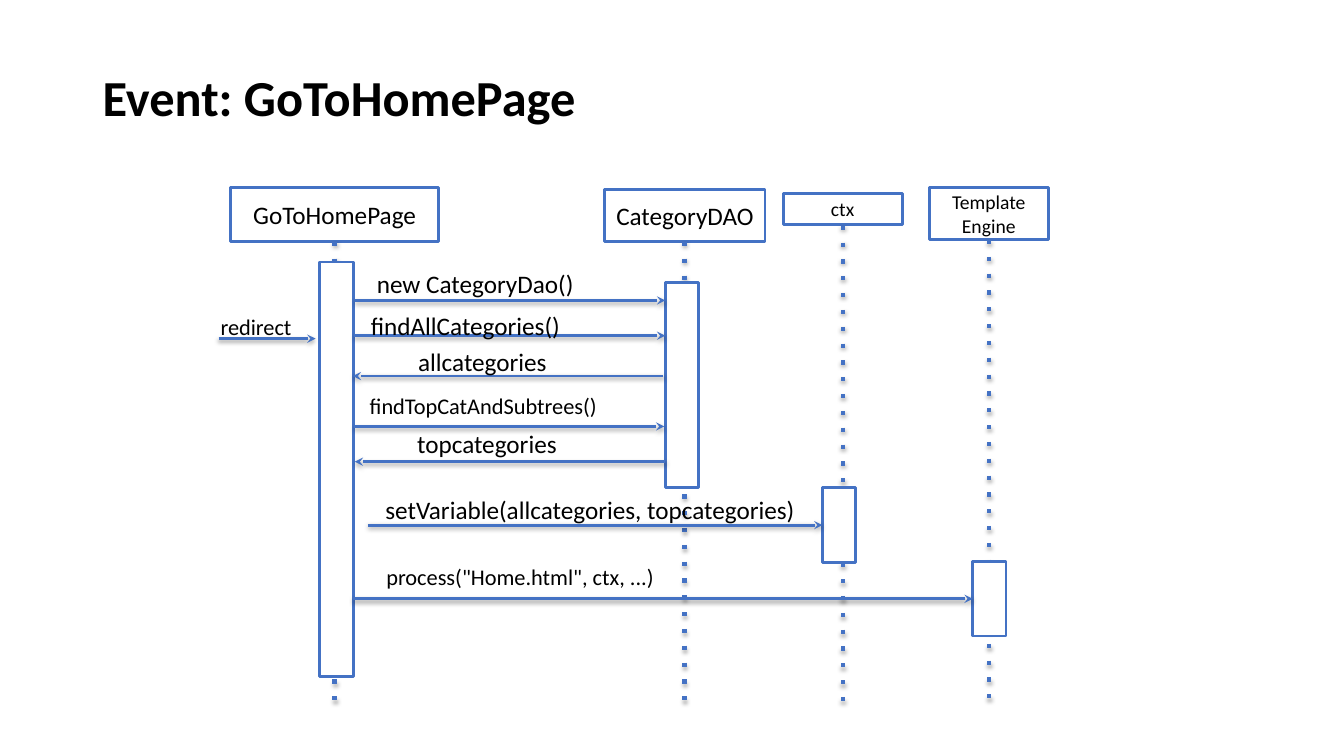
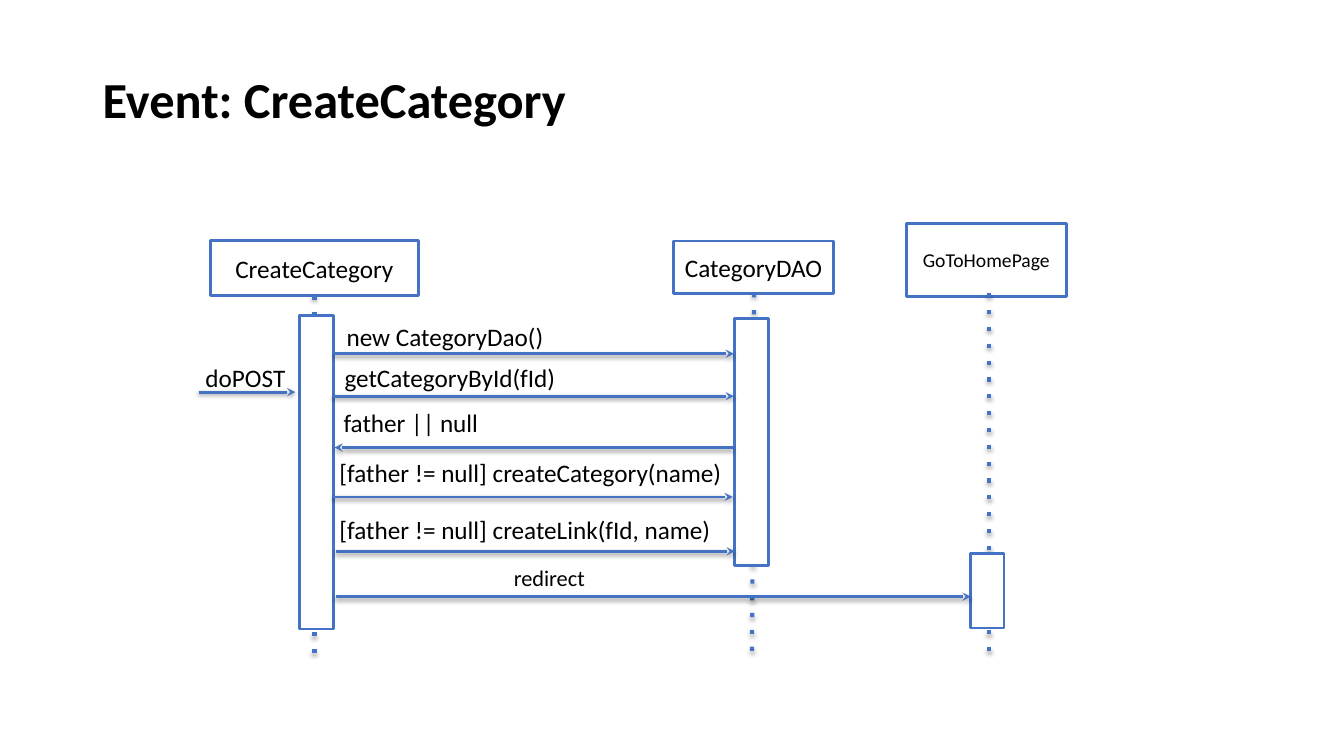
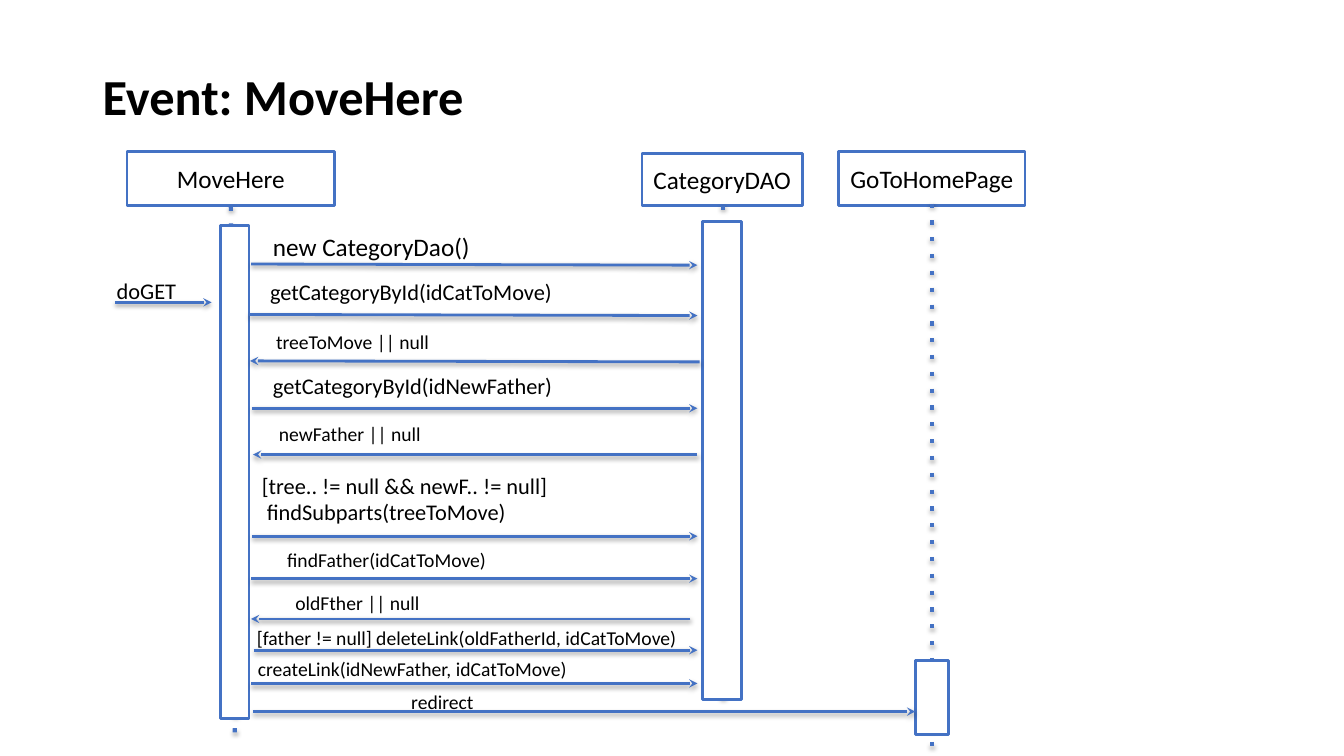
import dataclasses
import lxml.etree
import pptx
import pptx.dml.color
import pptx.enum.shapes
import pptx.enum.text
import pptx.oxml.ns
import pptx.util

Pt = pptx.util.Pt
RGB = pptx.dml.color.RGBColor
ALIGN = pptx.enum.text.PP_ALIGN
ANCHOR = pptx.enum.text.MSO_ANCHOR
qn = pptx.oxml.ns.qn


@dataclasses.dataclass(frozen=True)
class Theme:
    ink: RGB = RGB(0, 0, 0)
    paper: RGB = RGB(255, 255, 255)
    blue: RGB = RGB(0x44, 0x72, 0xC4)
    font: str = "Calibri"
    title: int = 36
    big: int = 18
    mid: int = 16
    small: int = 14
    rule: int = 2
    dots: int = 3


T = Theme()
LEFT, MID = ALIGN.LEFT, ALIGN.CENTER


def put(obj, vals):
    for key, val in vals.items():
        setattr(obj, key, val)


def place(shape, box):
    put(shape, dict(zip(("left", "top", "width", "height"), map(Pt, box))))


def write(shape, text, size, align, anchor, bold=False, space=None):
    frame = shape.text_frame
    put(frame, {"text": text, "word_wrap": True, "vertical_anchor": anchor})
    for para in frame.paragraphs:
        put(para, {"alignment": align, "line_spacing": space})
        for run in para.runs:
            put(run.font, {"name": T.font, "size": Pt(size), "bold": bold})
            run.font.color.rgb = T.ink


def head(slide, text, height):
    title = slide.shapes.title
    place(title, (66.2, 28.8, 828, height))
    write(title, text, T.title, LEFT, ANCHOR.MIDDLE, True, 0.9)


def block(slide, box):
    kind = pptx.enum.shapes.MSO_SHAPE.RECTANGLE
    shape = slide.shapes.add_shape(kind, *map(Pt, box))
    shape.shadow.inherit = False
    shape.fill.solid()
    shape.fill.fore_color.rgb = T.paper
    shape.line.color.rgb = T.blue
    shape.line.width = Pt(T.rule)
    return shape


def child(node, tag, **vals):
    return lxml.etree.SubElement(node, qn(tag), vals)


def stroke(slide, ends, width, tag, val, drop, alpha):
    kind = pptx.enum.shapes.MSO_CONNECTOR.STRAIGHT
    line = slide.shapes.add_connector(kind, *map(Pt, ends))
    line.line.color.rgb = T.blue
    line.line.width = Pt(width)
    props = line._element.spPr
    child(props.find(qn("a:ln")), tag, **val)
    fx = child(props, "a:effectLst")
    shade = child(fx, "a:outerShdw", blurRad=str(Pt(3.1)), dist=str(Pt(drop)),
                  dir="5400000", rotWithShape="0")
    tone = child(shade, "a:srgbClr", val=str(T.ink))
    child(tone, "a:alpha", val=str(alpha * 1000))


def arrow(slide, ends):
    stroke(slide, ends, T.rule, "a:tailEnd", {"type": "stealth"}, 1.6, 38)


def actor(slide, name, size, box, life, bar):
    write(block(slide, box), name, size, MID, ANCHOR.MIDDLE)
    stroke(slide, life, T.dots, "a:prstDash", {"val": "dot"}, 1.8, 35)
    block(slide, bar)


def call(slide, text, size, box, ends, align=LEFT):
    arrow(slide, ends)
    label = slide.shapes.add_textbox(*map(Pt, box))
    write(label, text, size, align, ANCHOR.TOP)


HOME = (
    "Event: GoToHomePage", 85,
    [
        ("GoToHomePage", T.big, (164.9, 133.9, 148.3, 38.9),
         (239, 172.8, 239, 503.3), (228.2, 187.2, 24.5, 295.9)),
        ("CategoryDAO", T.big, (432, 135.4, 114.5, 37.4),
         (488.9, 172.8, 488.9, 503.3), (475.2, 201.6, 23.8, 146.9)),
        ("ctx", T.small, (559.4, 138.2, 85, 22.3),
         (601.9, 161.3, 601.9, 503.3), (587.5, 348.5, 23.8, 53.3)),
        ("Template\vEngine", T.small, (663.8, 133.9, 85, 37.4),
         (706.3, 171.4, 706.3, 503.3), (694.8, 401, 23.8, 53.3)),
    ],
    [
        ("redirect", T.mid, (150.5, 220.3, 72, 21.6),
         (156.2, 241.9, 225.4, 241.9)),
        ("new CategoryDao()", T.big, (262.1, 187.9, 209.5, 18),
         (253.4, 214.6, 475.2, 214.6)),
        ("findAllCategories()", T.big, (257.8, 218.2, 209.5, 18),
         (252.7, 239.8, 475.2, 239.8)),
        ("allcategories", T.big, (291.6, 244.1, 122.4, 20.9),
         (473.8, 268.6, 252, 268.6)),
        ("findTopCatAndSubtrees()", T.mid, (257, 276.5, 222.5, 15.8),
         (252.7, 304.6, 474.5, 304.6)),
        ("topcategories", T.big, (290.9, 302.4, 124.6, 20.9),
         (475.2, 329.8, 253.4, 329.8)),
        ("setVariable(allcategories, topcategories)", T.big,
         (253.4, 349.9, 336.2, 21.6), (262.8, 375.1, 587.5, 375.1), MID),
        ('process("Home.html", ctx, ...)', T.mid,
         (262.8, 398.9, 217.4, 29.5), (252, 427.7, 694.8, 427.7), MID),
    ],
)

CREATE = (
    "Event: CreateCategory", 87.8,
    [
        ("CreateCategory", T.big, (150.5, 172.1, 148.3, 38.9),
         (224.6, 211, 224.6, 467.3), (213.8, 225.4, 24.5, 223.9)),
        ("CategoryDAO", T.big, (481, 172.1, 114.5, 37.4),
         (538.6, 209.5, 537.1, 473), (524.9, 227.5, 23.8, 176.4)),
        ("GoToHomePage", T.small, (647.3, 159.8, 114.5, 51.8),
         (706.3, 209.5, 706.3, 473), (693.4, 395.3, 23.8, 53.3)),
    ],
    [
        ("doPOST", T.big, (139.7, 255.6, 72, 21.6),
         (141.8, 280.1, 211, 280.1)),
        ("new CategoryDao()", T.big, (240.5, 226.1, 209.5, 18),
         (238.3, 252.7, 524.2, 252.7)),
        ("getCategoryById(fId)", T.big, (239, 255.6, 366.5, 28.8),
         (237.6, 283, 524.2, 283)),
        ("father || null", T.big, (238.3, 287.3, 366.5, 28.8),
         (523.4, 319.7, 239, 319.7)),
        ("[father != null] createCategory(name)", T.big,
         (235.4, 323.3, 366.5, 28.8), (237.6, 355, 523.4, 355)),
        ("[father != null] createLink(fId, name)", T.big,
         (235.4, 363.6, 366.5, 28.8), (239.8, 393.8, 524.9, 393.8)),
        ("redirect", T.mid, (290.9, 399.6, 203, 25.9),
         (239.8, 426.2, 693.4, 426.2), MID),
    ],
)

MOVE = (
    "Event: MoveHere", 84.2,
    [
        ("MoveHere", T.big, (90.7, 108, 148.3, 38.9),
         (164.9, 147.6, 167.8, 528.5), (157.7, 161.3, 20.2, 352.1)),
        ("CategoryDAO", T.big, (458.6, 109.4, 114.5, 37.4),
         (516.2, 146.9, 516.2, 499.7), (501.8, 158.4, 28.1, 341.3)),
        ("GoToHomePage", T.big, (599, 108, 133.2, 38.9),
         (666, 145.4, 666, 540), (653.8, 471.6, 23.8, 53.3)),
    ],
    [
        ("doGET", T.mid, (76.3, 194.4, 72, 21.6),
         (82.1, 216, 151.2, 216)),
        ("new CategoryDao()", T.big, (187.9, 162, 209.5, 18),
         (179.3, 188.6, 498.2, 189.4)),
        ("getCategoryById(idCatToMove)", T.mid, (185.8, 195.1, 222.5, 15.8),
         (177.8, 224.6, 498.2, 225.4)),
        ("treeToMove || null", T.small, (190.1, 231.8, 124.6, 20.9),
         (499.7, 258.5, 178.6, 257.8)),
        ("getCategoryById(idNewFather)", T.mid, (187.9, 262.1, 222.5, 15.8),
         (180, 291.6, 498.2, 291.6)),
        ("newFather || null", T.small, (192.2, 298.1, 124.6, 20.9),
         (498.2, 324.7, 180.7, 324.7)),
        ("[tree.. != null && newF.. != null]\n findSubparts(treeToMove)",
         T.mid, (180, 333.4, 523.4, 15.8), (180, 383, 498.2, 383)),
        ("findFather(idCatToMove)", T.small, (198, 388.1, 159.8, 23),
         (179.3, 413.3, 498.2, 413.3)),
        ("oldFther || null", T.small, (203.8, 418.3, 159.8, 23),
         (493.2, 442.1, 179.3, 442.1)),
        ("[father != null] deleteLink(oldFatherId, idCatToMove)", T.small,
         (176.4, 443.5, 403.2, 29.5), (181.4, 464.4, 498.2, 464.4)),
        ("createLink(idNewFather, idCatToMove)", T.small,
         (177.1, 465.8, 403.2, 29.5), (179.3, 488.2, 498.2, 488.2)),
        ("redirect", T.small, (286.6, 488.9, 159.8, 23),
         (180.7, 508.3, 653.8, 508.3)),
    ],
)


def main():
    deck = pptx.Presentation()
    put(deck, {"slide_width": Pt(960), "slide_height": Pt(540)})
    for title, height, actors, calls in (HOME, CREATE, MOVE):
        slide = deck.slides.add_slide(deck.slide_layouts[5])
        head(slide, title, height)
        for item in actors:
            actor(slide, *item)
        for item in calls:
            call(slide, *item)
    deck.save("out.pptx")


main()
